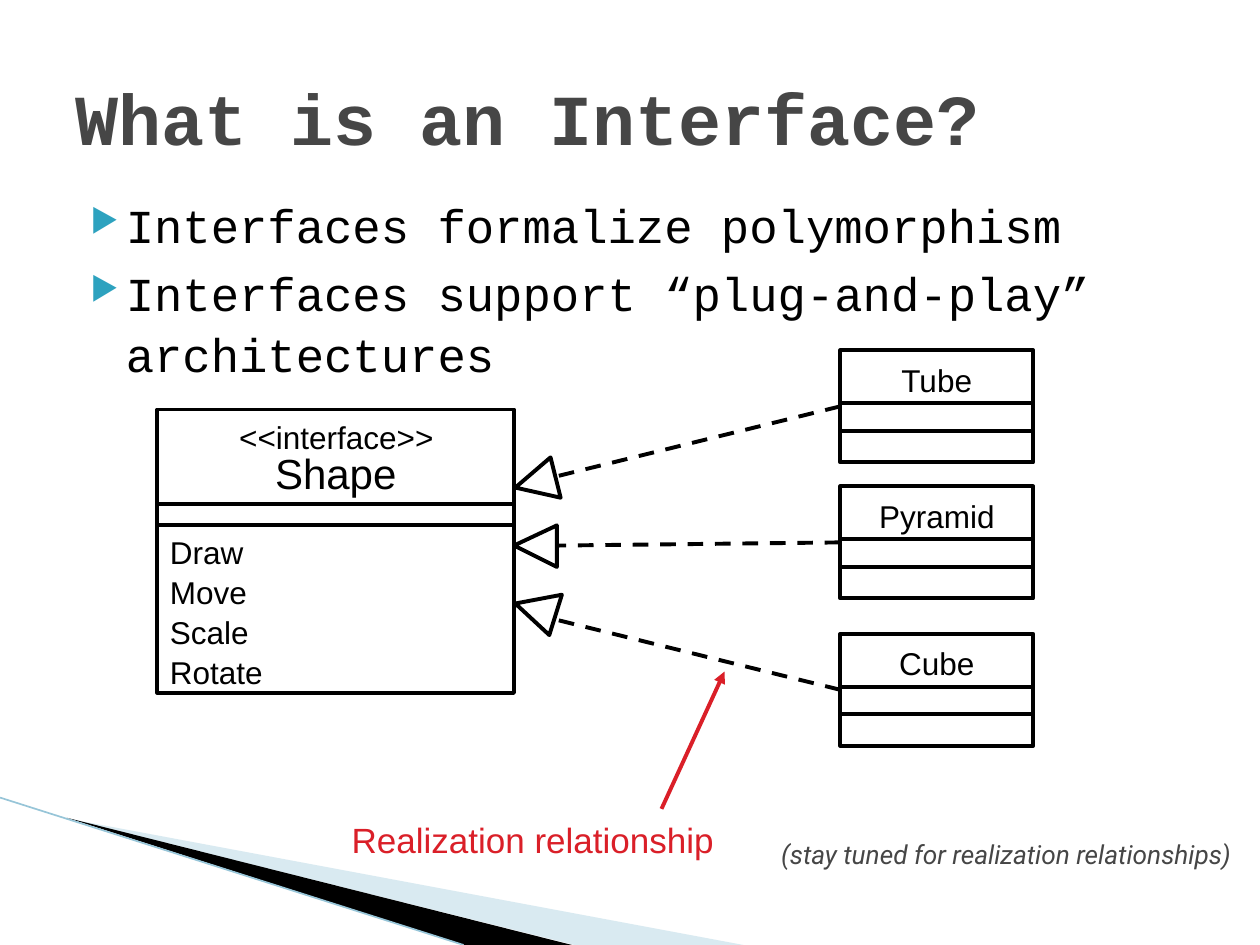
from dataclasses import dataclass

from lxml.etree import SubElement
from pptx import Presentation
from pptx.dml.color import RGBColor
from pptx.enum.dml import MSO_LINE
from pptx.enum.shapes import MSO_CONNECTOR, MSO_SHAPE
from pptx.enum.text import MSO_ANCHOR, PP_ALIGN
from pptx.oxml.ns import qn
from pptx.util import Inches, Pt

COLORS = {
    "black": "000000",
    "gray": "464646",
    "red": "DA1F28",
    "bullet": "2DA2BF",
    "wedge": "A0CBDC",
    "edge": "97C5D8",
}
LINE_WIDTH = 2.25
CLASS_LEFT, CLASS_WIDTH, CLASS_HEIGHT = 6.67, 1.53, 0.89
LEFT_SIDE = 1

Point = tuple[float, float]


@dataclass
class Realization:
    """A class box, with the hollow arrowhead that points at the interface."""
    name: str
    top: float
    name_width: float
    line_end: Point
    arrowhead: list[Point]


@dataclass
class Label:
    lines: list[str]
    left: float
    top: float
    width: float
    height: float
    size: float = 18
    color: str = "black"
    font: str = "Arial"
    align: PP_ALIGN = PP_ALIGN.LEFT
    inset: Point = (0.1, 0.05)
    wrap: bool = True
    italic: bool = False
    line_spacing: float = 1.05


REALIZATIONS = [
    Realization("Tube", 2.78, 0.57, (4.42, 3.78),
                [(4.37, 3.63), (4.09, 3.87), (4.45, 3.95)]),
    Realization("Pyramid", 3.86, 0.92, (4.42, 4.33),
                [(4.42, 4.17), (4.08, 4.33), (4.42, 4.5)]),
    Realization("Cube", 5.03, 0.6, (4.42, 4.92),
                [(4.46, 4.72), (4.09, 4.79), (4.36, 5.04)]),
]


def color(name: str) -> RGBColor:
    return RGBColor.from_string(COLORS[name])


def add_line(slide, start: Point, end: Point, line_color="black", width=LINE_WIDTH):
    line = slide.shapes.add_connector(
        MSO_CONNECTOR.STRAIGHT, *(Inches(value) for value in (*start, *end)))
    line.line.color.rgb = color(line_color)
    line.line.width = Pt(width)
    SubElement(line._element.spPr, qn("a:effectLst"))
    return line


def add_polygon(slide, points: list[Point]):
    corners = [(Inches(x), Inches(y)) for x, y in points]
    builder = slide.shapes.build_freeform(*corners[0], scale=1.0)
    builder.add_line_segments(corners[1:], close=True)
    polygon = builder.convert_to_shape()
    polygon.shadow.inherit = False
    return polygon


def outline(shape) -> None:
    shape.shadow.inherit = False
    shape.fill.background()
    shape.line.color.rgb = color("black")
    shape.line.width = Pt(LINE_WIDTH)


def add_wedge(slide, points: list[Point], fill_color: str, opacity: int = 100) -> None:
    wedge = add_polygon(slide, points)
    wedge.line.fill.background()
    wedge.fill.solid()
    wedge.fill.fore_color.rgb = color(fill_color)
    if opacity < 100:
        color_element = wedge._element.spPr.find(f".//{qn('a:srgbClr')}")
        SubElement(color_element, qn("a:alpha"), val=str(opacity * 1000))


def add_label(slide, label: Label):
    text_box = slide.shapes.add_textbox(
        Inches(label.left), Inches(label.top), Inches(label.width), Inches(label.height))
    frame = text_box.text_frame
    frame.word_wrap = label.wrap
    frame.margin_left = frame.margin_right = Inches(label.inset[0])
    frame.margin_top = frame.margin_bottom = Inches(label.inset[1])
    frame.text = "\n".join(label.lines)
    for paragraph in frame.paragraphs:
        paragraph.alignment = label.align
        paragraph.line_spacing = label.line_spacing
        paragraph.font.name = label.font
        paragraph.font.size = Pt(label.size)
        paragraph.font.italic = label.italic
        paragraph.font.color.rgb = color(label.color)
    return text_box


def add_compartments(slide, left: float, top: float, width: float, height: float,
                     dividers: list[float]):
    """Draw a box divided by horizontal lines, given as offsets from its top."""
    box = slide.shapes.add_shape(
        MSO_SHAPE.RECTANGLE, Inches(left), Inches(top), Inches(width), Inches(height))
    outline(box)
    for offset in dividers:
        add_line(slide, (left, top + offset), (left + width, top + offset))
    return box


def add_realization(slide, item: Realization) -> None:
    box = add_compartments(
        slide, CLASS_LEFT, item.top, CLASS_WIDTH, CLASS_HEIGHT, [0.42, 0.64])
    name_left = CLASS_LEFT + (CLASS_WIDTH - item.name_width) / 2
    add_label(slide, Label([item.name], name_left, item.top + 0.07, item.name_width, 0.3,
                           align=PP_ALIGN.CENTER, inset=(0, 0), wrap=False))
    line = add_line(slide, (CLASS_LEFT, item.top + CLASS_HEIGHT / 2), item.line_end)
    line.begin_connect(box, LEFT_SIDE)
    line.line.dash_style = MSO_LINE.DASH
    outline(add_polygon(slide, item.arrowhead))


def add_bullets(text_box) -> None:
    for paragraph in text_box.text_frame.paragraphs:
        paragraph.space_before = Pt(4)
        properties = paragraph._p.get_or_add_pPr()
        properties.set("marL", str(Inches(0.4)))
        properties.set("indent", str(Inches(-0.28)))
        bullet_color = SubElement(properties, qn("a:buClr"))
        SubElement(bullet_color, qn("a:srgbClr"), val=COLORS["bullet"])
        SubElement(properties, qn("a:buSzPct"), val="68000")
        SubElement(properties, qn("a:buChar"), char="▶")
        # The schema wants the default run properties after the bullet
        properties.append(properties.find(qn("a:defRPr")))


def add_title(slide, text: str) -> None:
    title = slide.shapes.title
    title.left, title.top = Inches(0.5), Inches(0.3)
    title.width, title.height = Inches(9), Inches(1.25)
    title.text_frame.text = text
    title.text_frame.vertical_anchor = MSO_ANCHOR.MIDDLE
    paragraph = title.text_frame.paragraphs[0]
    paragraph.alignment = PP_ALIGN.LEFT
    paragraph.font.name = "Courier New"
    paragraph.font.size = Pt(41)
    paragraph.font.bold = True
    paragraph.font.color.rgb = color("gray")


def main() -> None:
    presentation = Presentation()
    presentation.slide_width, presentation.slide_height = Inches(10), Inches(7.5)
    slide = presentation.slides.add_slide(presentation.slide_layouts[5])

    # Corner decoration
    add_wedge(slide, [(0.55, 6.5), (5.9, 7.5), (4.56, 7.5)], "wedge", opacity=40)
    add_wedge(slide, [(0.53, 6.49), (4.54, 7.5), (3.68, 7.5)], "black")
    add_line(slide, (0, 6.33), (3.68, 7.5), "edge", width=0.95)

    # Title and bullets
    add_title(slide, "What is an Interface?")
    add_bullets(add_label(slide, Label(
        ["Interfaces formalize polymorphism",
         "Interfaces support “plug-and-play” architectures"],
        0.5, 1.48, 9, 4.95, size=27, font="Courier New", line_spacing=1.07)))

    # Interface box
    add_compartments(slide, 1.25, 3.25, 2.83, 2.25, [0.75, 0.92])
    add_label(slide, Label(["<<interface>>"], 1.46, 3.25, 2.42, 0.4, align=PP_ALIGN.CENTER))
    add_label(slide, Label(["Shape"], 2.18, 3.53, 0.97, 0.4, size=24,
                           align=PP_ALIGN.CENTER, inset=(0, 0), wrap=False))
    add_label(slide, Label(["Draw", "Move", "Scale", "Rotate"], 1.25, 4.17, 2.83, 1.3))

    # Classes that realize the interface
    for item in REALIZATIONS:
        add_realization(slide, item)

    # Annotations
    add_label(slide, Label(["Realization relationship"], 2.67, 6.42, 3.42, 0.45,
                           size=20, color="red", inset=(0.12, 0.06)))
    pointer = add_line(slide, (5.25, 6.42), (5.75, 5.33), "red")
    SubElement(pointer.line._get_or_add_ln(), qn("a:tailEnd"), type="triangle")
    add_label(slide, Label(["(stay tuned for realization relationships)"],
                           6.08, 6.58, 3.92, 0.37, size=15, color="gray", font="Roboto",
                           inset=(0.12, 0.06), italic=True))

    presentation.save("out.pptx")


if __name__ == "__main__":
    main()
